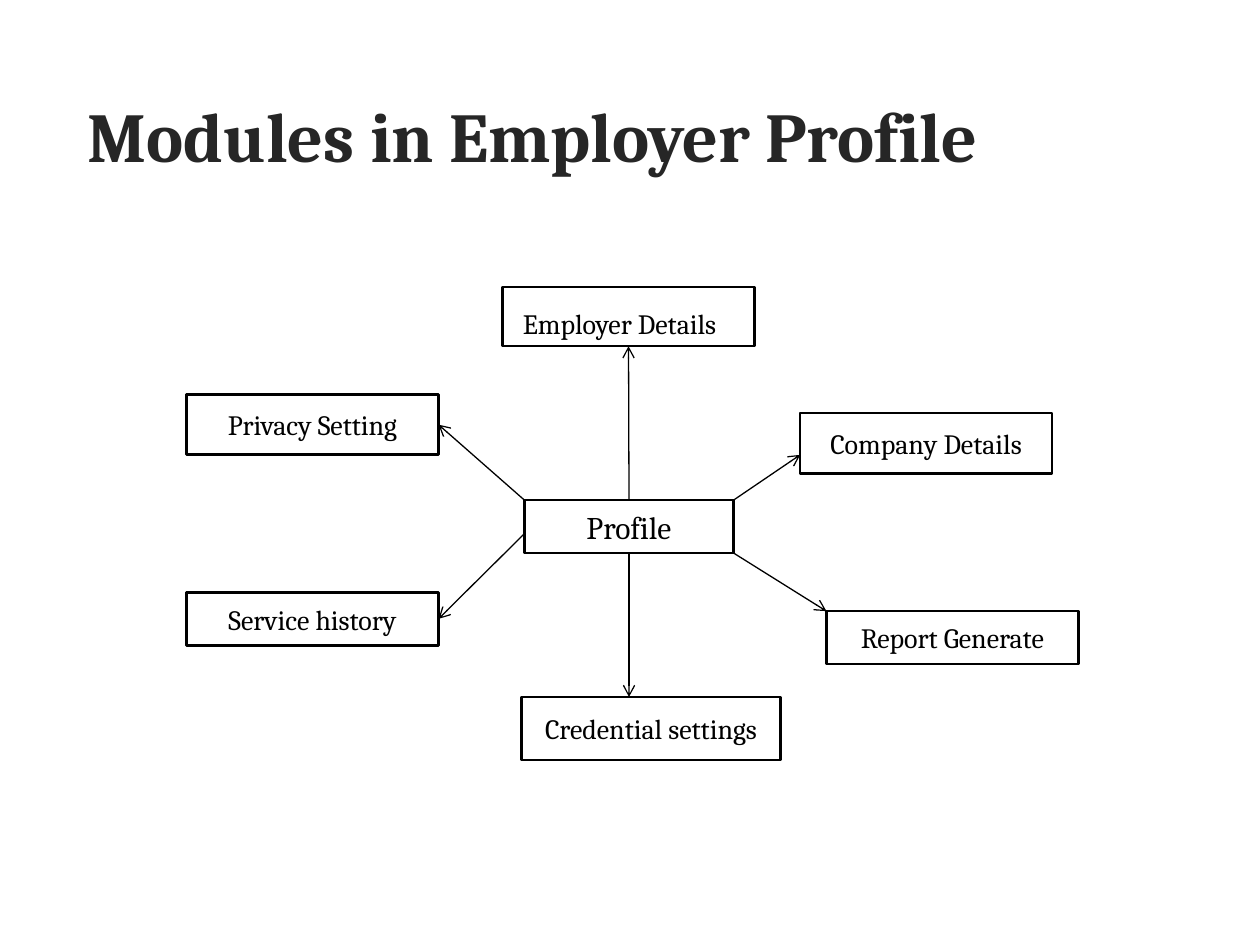
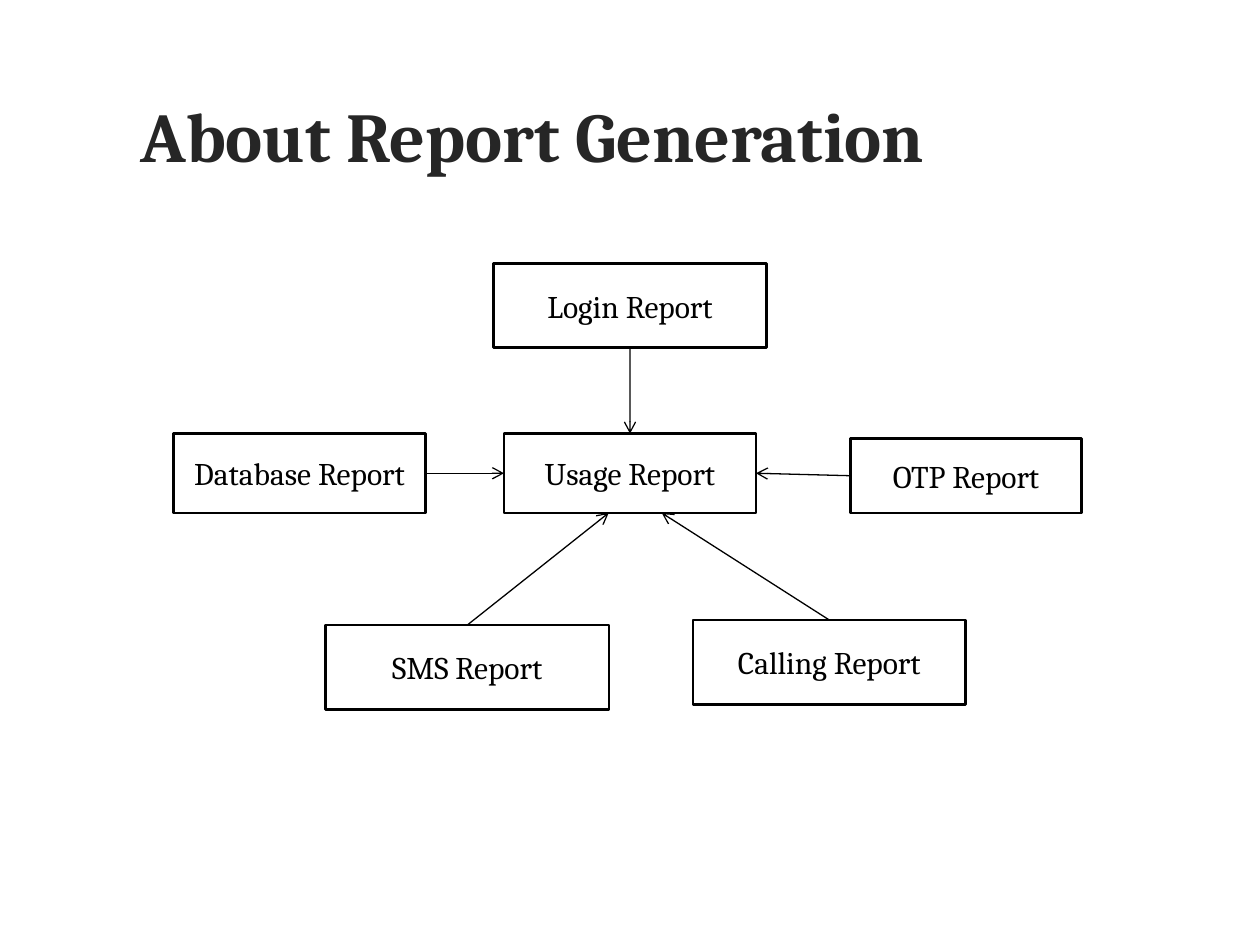
import pptx
import pptx.util
import pptx.dml.color
import pptx.enum.shapes
import pptx.enum.text
import pptx.oxml.ns
from lxml import etree

Cm, Pt = pptx.util.Cm, pptx.util.Pt
ALIGN, ANCHOR = pptx.enum.text.PP_ALIGN, pptx.enum.text.MSO_ANCHOR
BLACK = pptx.dml.color.RGBColor(0x00, 0x00, 0x00)
WHITE = pptx.dml.color.RGBColor(0xFF, 0xFF, 0xFF)
TITLE_GREY = pptx.dml.color.RGBColor(0x26, 0x26, 0x26)
FONT = "Cambria"
TOP, LEFT, BOTTOM, RIGHT = range(4)

# Boxes: name -> left, top, width, height (cm), text size.
# Arrows: start, end; each end is a (box, side) or a free (x, y) point in cm.
SLIDES = [
    {
        "title": "Modules in Employer Profile",
        "boxes": {
            "Profile": (10.57, 10.08, 4.22, 1.07, 18),
            "Credential settings": (10.52, 14.05, 5.21, 1.27, 16),
            "Privacy Setting": (3.76, 7.95, 5.08, 1.22, 16),
            "Company Details": (16.13, 8.33, 5.08, 1.22, 16),
            "Service history": (3.76, 11.94, 5.08, 1.07, 16),
            "Employer Details": (10.13, 5.79, 5.08, 1.19, 16),
            "Report Generate": (16.66, 12.32, 5.08, 1.07, 16),
        },
        "arrows": [
            (("Profile", TOP), ("Employer Details", BOTTOM)),
            ((14.79, 10.08), (16.13, 9.17)),
            ((14.79, 11.15), (16.66, 12.32)),
            (("Profile", BOTTOM), (12.68, 14.05)),
            ((10.57, 10.76), ("Service history", RIGHT)),
            ((10.57, 10.08), ("Privacy Setting", RIGHT)),
        ],
        # labels that sit in a text box of their own: left, top, width, height
        "labels": {"Employer Details": (10.29, 6.05, 5.16, 0.94)},
    },
    {
        "title": "About Report Generation",
        "boxes": {
            "Usage Report": (10.16, 8.74, 5.08, 1.6, 18),
            "Login Report": (9.95, 5.31, 5.5, 1.7, 18),
            "OTP Report": (17.15, 8.84, 4.65, 1.5, 18),
            "Calling Report": (13.97, 12.5, 5.5, 1.7, 18),
            "SMS Report": (6.56, 12.6, 5.72, 1.7, 18),
            "Database Report": (3.5, 8.74, 5.08, 1.6, 18),
        },
        "arrows": [
            (("Login Report", BOTTOM), ("Usage Report", TOP)),
            (("Database Report", RIGHT), ("Usage Report", LEFT)),
            (("OTP Report", LEFT), ("Usage Report", RIGHT)),
            (("SMS Report", TOP), (12.27, 10.34)),
            (("Calling Report", TOP), (13.34, 10.34)),
        ],
        "labels": {},
    },
]


def write(sp, text, size, color=BLACK, bold=False, align=ALIGN.CENTER, anchor=ANCHOR.MIDDLE):
    tf = sp.text_frame
    tf.word_wrap = True
    tf.vertical_anchor = anchor
    p = tf.paragraphs[0]
    p.alignment = align
    r = p.add_run()
    r.text = text
    r.font.name = FONT
    r.font.size = Pt(size)
    r.font.bold = bold
    r.font.color.rgb = color


def add_arrow(s, shapes, start, end):
    """Draw an arrow and join those ends that name a box side."""
    line = s.shapes.add_connector(pptx.enum.shapes.MSO_CONNECTOR.STRAIGHT, 0, 0, 0, 0)
    if start[0] in shapes:
        line.begin_connect(shapes[start[0]], start[1])
    else:
        line.begin_x, line.begin_y = Cm(start[0]), Cm(start[1])
    if end[0] in shapes:
        line.end_connect(shapes[end[0]], end[1])
    else:
        line.end_x, line.end_y = Cm(end[0]), Cm(end[1])
    line.line.color.rgb = BLACK
    line.line.width = Pt(0.75)
    qn = pptx.oxml.ns.qn
    etree.SubElement(line.line._get_or_add_ln(), qn("a:tailEnd"), type="arrow")
    etree.SubElement(line._element.spPr, qn("a:effectLst"))


prs = pptx.Presentation()
prs.slide_width, prs.slide_height = Cm(25.4), Cm(19.05)

for content in SLIDES:
    s = prs.slides.add_slide(prs.slide_layouts[6])
    s.background.fill.solid()
    s.background.fill.fore_color.rgb = WHITE

    title = s.shapes.add_textbox(Cm(-0.43), Cm(1.57), Cm(22.33), Cm(2.11))
    write(title, content["title"], 40, TITLE_GREY, bold=True, anchor=ANCHOR.BOTTOM)

    shapes = {}
    for name, (*place, size) in content["boxes"].items():
        sp = s.shapes.add_shape(pptx.enum.shapes.MSO_SHAPE.RECTANGLE, *map(Cm, place))
        sp.shadow.inherit = False
        sp.fill.solid()
        sp.fill.fore_color.rgb = WHITE
        sp.line.color.rgb = BLACK
        sp.line.width = Pt(1.5)
        if name not in content["labels"]:
            write(sp, name, size)
        shapes[name] = sp

    for start, end in content["arrows"]:
        add_arrow(s, shapes, start, end)

    for name, place in content["labels"].items():
        label = s.shapes.add_textbox(*map(Cm, place))
        write(label, name, 16, align=ALIGN.LEFT, anchor=ANCHOR.TOP)

prs.save("out.pptx")
